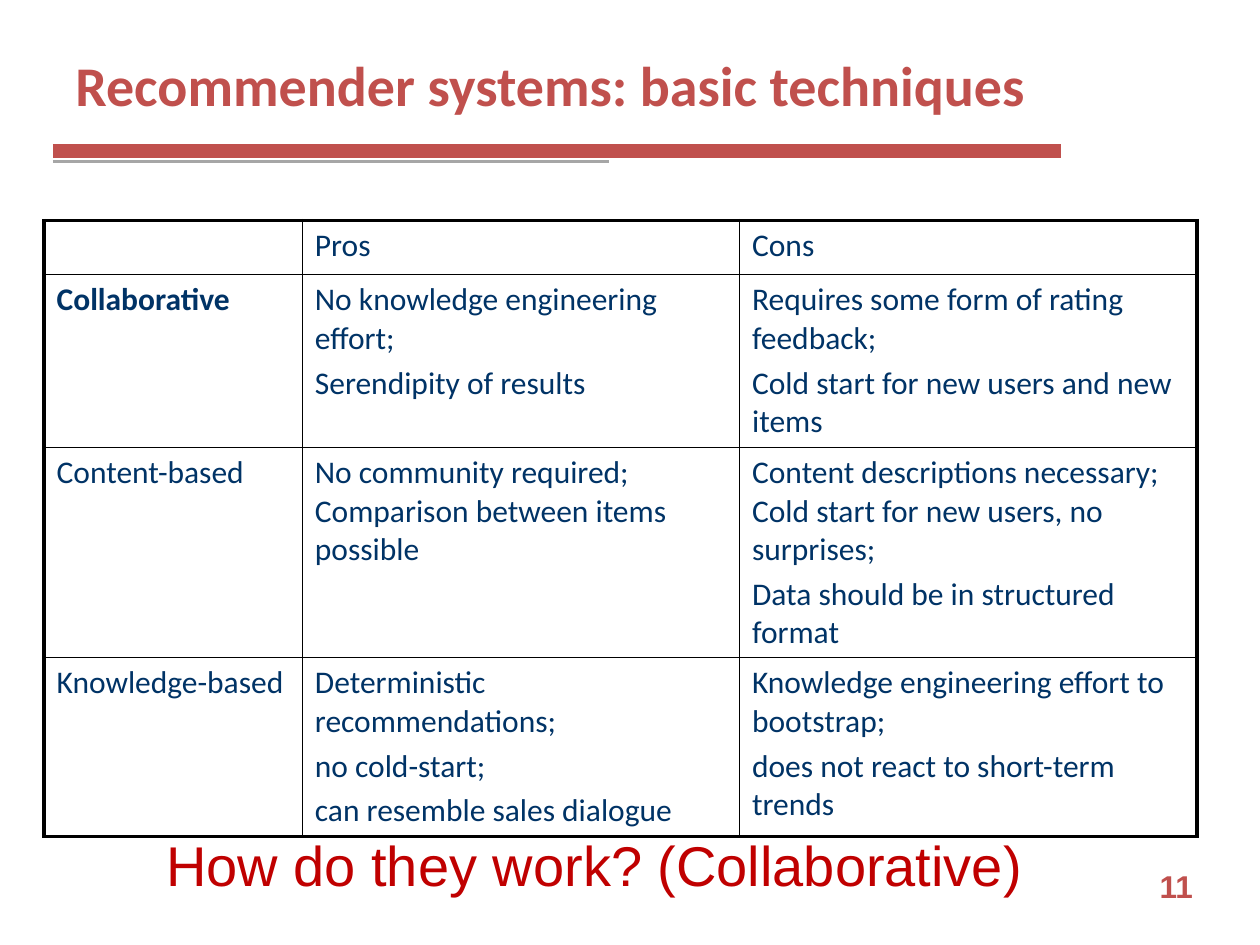
from lxml import etree
from pptx import Presentation
from pptx import util as u
from pptx.dml.color import RGBColor
from pptx.enum import shapes, text
from pptx.oxml import ns

COLORS = {"red": "C0504D", "gray": "A6A6A6", "navy": "003366",
          "crimson": "C00000", "black": "000000"}
FORMATS = {
    "title": {"name": "Calibri", "size": u.Pt(32), "bold": True, "color": "red"},
    "number": {"name": "Arial", "size": u.Pt(18), "bold": True, "color": "red"},
    "question": {"name": "Arial", "size": u.Pt(32), "bold": False, "color": "crimson"},
    "cell": {"name": "Calibri", "size": u.Pt(18), "bold": False, "color": "navy"},
    "strong": {"name": "Calibri", "size": u.Pt(18), "bold": True, "color": "navy"},
}
THIN, THICK = 1, 2.25
COLUMNS = [2.05, 3.47, 3.63]
ROWS = [0.43, 1.37, 1.67, 1.42]
TECHNIQUES = [
    [[], ["Pros"], ["Cons"]],
    [["Collaborative"],
     ["No knowledge engineering effort;", "Serendipity of results"],
     ["Requires some form of rating feedback;",
      "Cold start for new users and new items"]],
    [["Content-based"],
     ["No community required; Comparison between items possible"],
     ["Content descriptions necessary; Cold start for new users, no surprises;",
      "Data should be in structured format"]],
    [["Knowledge-based"],
     ["Deterministic recommendations;", "no cold-start;",
      "can resemble sales dialogue"],
     ["Knowledge engineering effort to bootstrap;",
      "does not react to short-term trends"]],
]


class SlideBuilder:
    def __init__(self, slide):
        self.slide = slide

    def rgb(self, name):
        return RGBColor.from_string(COLORS[name])

    def add_words(self, p, words, style):
        r = p.add_run()
        r.text = words
        for key, value in FORMATS[style].items():
            if key == "color":
                r.font.color.rgb = self.rgb(value)
            else:
                setattr(r.font, key, value)

    def rule(self, x1, x2, y, color, width):
        sp = self.slide.shapes.add_connector(
            shapes.MSO_CONNECTOR.STRAIGHT, *map(u.Inches, (x1, y, x2, y)))
        sp.line.color.rgb = self.rgb(color)
        sp.line.width = u.Pt(width)
        etree.SubElement(sp._element.spPr, ns.qn("a:effectLst"))

    def label(self, box, words, style, align=text.PP_ALIGN.LEFT,
              anchor=text.MSO_ANCHOR.TOP):
        tf = self.slide.shapes.add_textbox(*map(u.Inches, box)).text_frame
        tf.word_wrap = True
        tf.vertical_anchor = anchor
        p = tf.paragraphs[0]
        p.alignment = align
        self.add_words(p, words, style)

    def borders(self, cell, widths):
        tc_pr = cell._tc.get_or_add_tcPr()
        for index, (side, width) in enumerate(widths.items()):
            ln = etree.Element(ns.qn(f"a:ln{side}"), w=str(u.Pt(width)))
            fill = etree.SubElement(ln, ns.qn("a:solidFill"))
            etree.SubElement(fill, ns.qn("a:srgbClr"), val=COLORS["black"])
            tc_pr.insert(index, ln)

    def table(self, left, top, columns, rows, content):
        sp = self.slide.shapes.add_table(
            len(rows), len(columns),
            *map(u.Inches, (left, top, sum(columns), sum(rows))))
        tbl = sp.table
        tbl.first_row = tbl.horz_banding = False
        for column, width in zip(tbl.columns, columns):
            column.width = u.Inches(width)
        for row, height in zip(tbl.rows, rows):
            row.height = u.Inches(height)
        last_row, last_col = len(rows) - 1, len(columns) - 1
        for i, line in enumerate(content):
            for j, entries in enumerate(line):
                cell = tbl.cell(i, j)
                cell.fill.background()
                outer = {"L": j == 0, "R": j == last_col,
                         "T": i == 0, "B": i == last_row}
                self.borders(cell, {side: THICK if edge else THIN
                                    for side, edge in outer.items()})
                tf = cell.text_frame
                for n, entry in enumerate(entries):
                    p = tf.add_paragraph() if n else tf.paragraphs[0]
                    p.space_before = u.Pt(3.6)
                    self.add_words(p, entry, "strong" if (i, j) == (1, 0) else "cell")


def main():
    prs = Presentation()
    prs.slide_width, prs.slide_height = u.Inches(10), u.Inches(7.5)
    s = SlideBuilder(prs.slides.add_slide(prs.slide_layouts[6]))
    s.rule(0.42, 8.42, 1.2, "red", 8)
    s.rule(0.42, 4.83, 1.28, "gray", 1.8)
    s.label((9, 6.83, 0.67, 0.4), "11", "number", text.PP_ALIGN.CENTER)
    s.label((0.5, 0.25, 9, 0.83), "Recommender systems: basic techniques",
            "title", anchor=text.MSO_ANCHOR.MIDDLE)
    s.table(0.35, 1.75, COLUMNS, ROWS, TECHNIQUES)
    s.label((1.22, 6.54, 7.64, 0.64), "How do they work? (Collaborative)", "question")
    prs.save("out.pptx")


if __name__ == "__main__":
    main()
